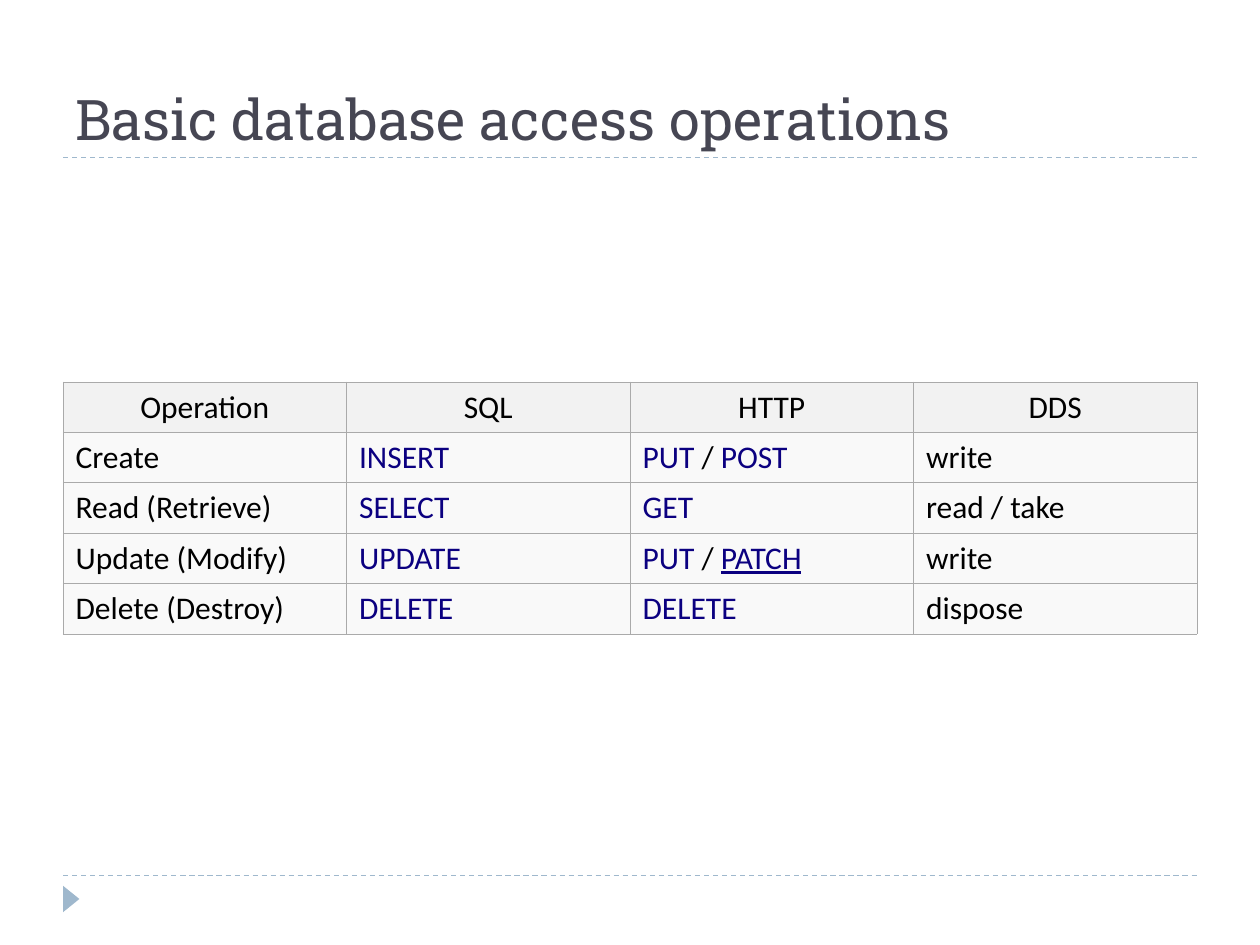
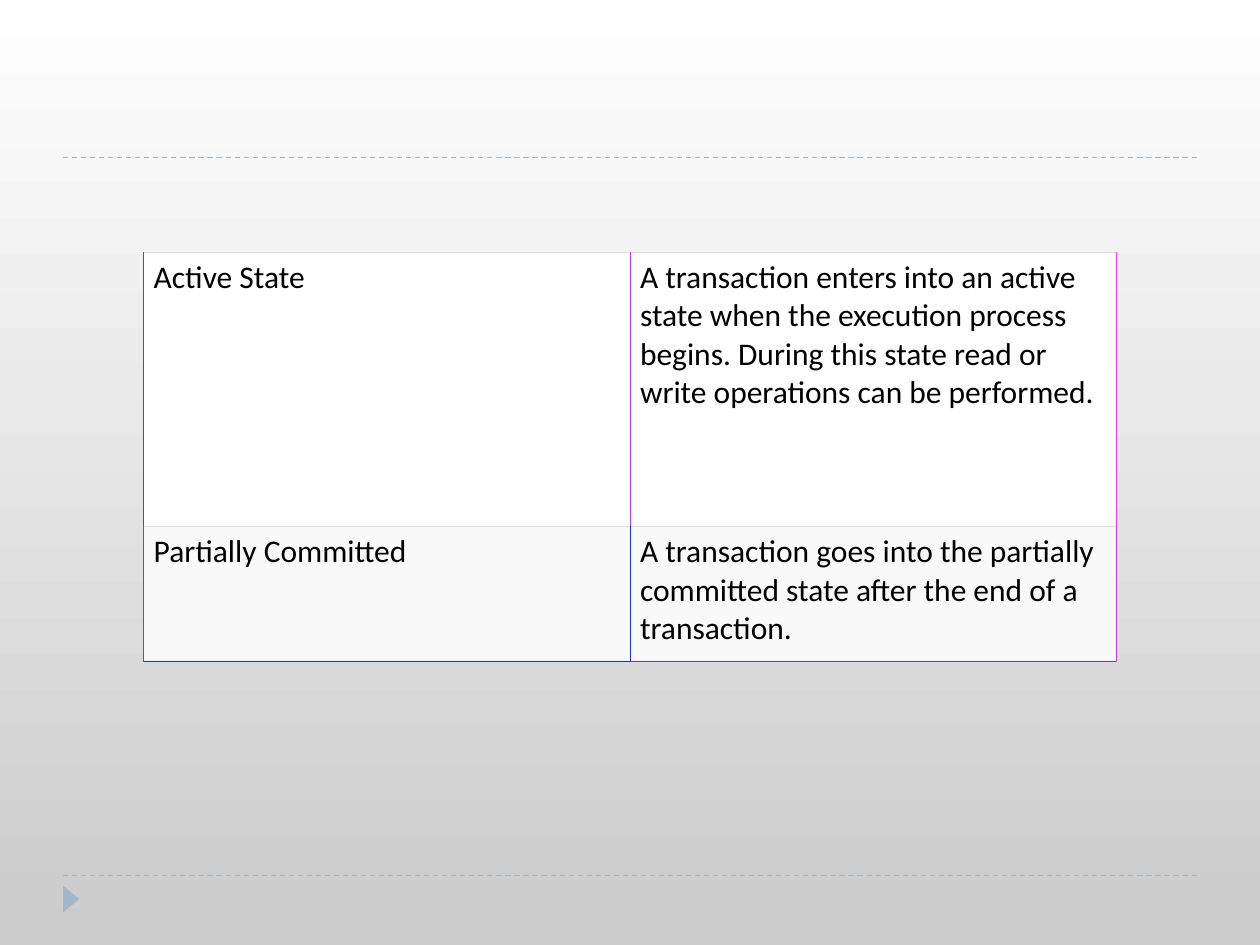
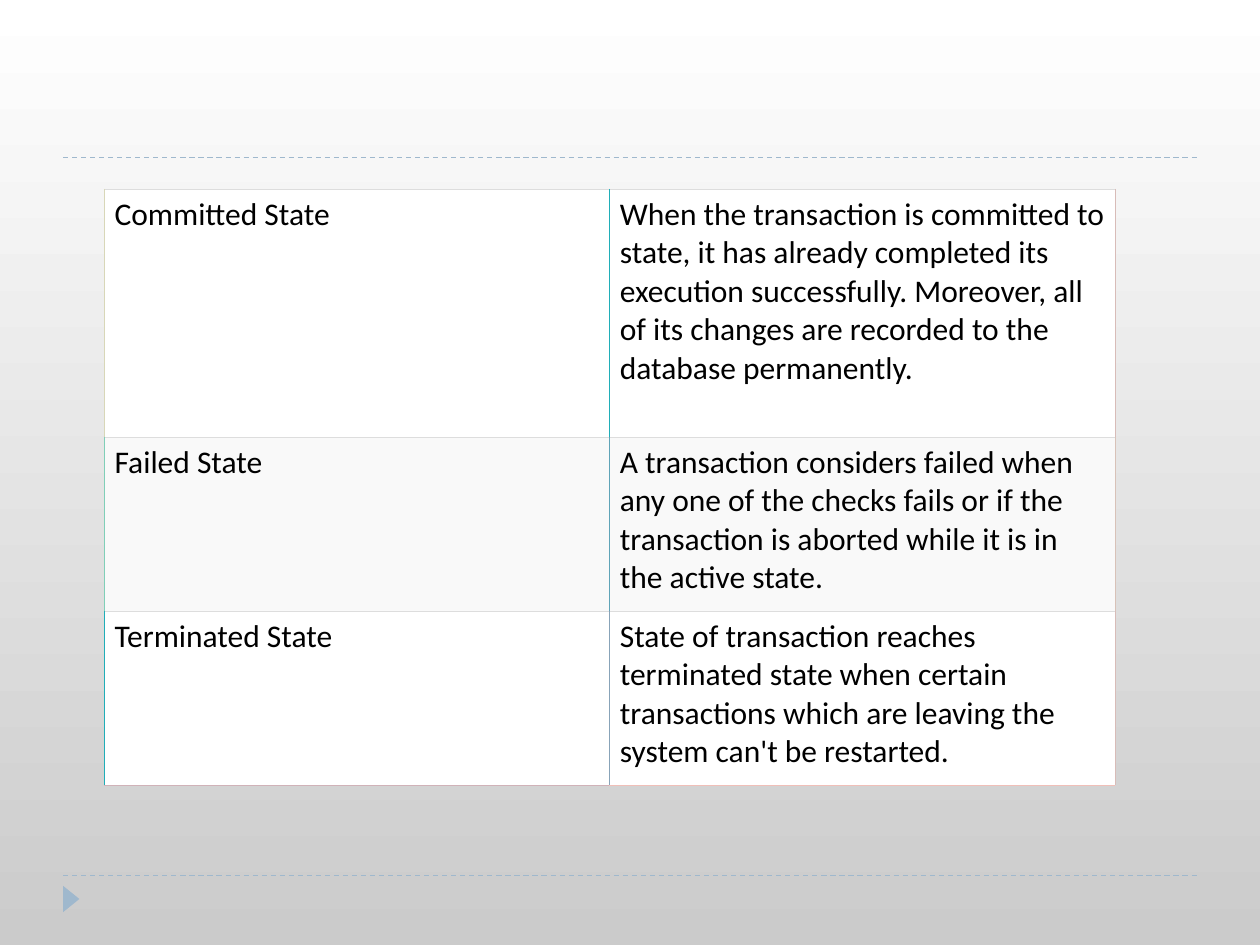
from lxml import etree
from pptx import Presentation
from pptx.dml.color import RGBColor
from pptx.enum.dml import MSO_LINE
from pptx.enum.shapes import MSO_CONNECTOR, MSO_SHAPE
from pptx.enum.text import MSO_ANCHOR, PP_ALIGN
from pptx.oxml.ns import qn
from pptx.util import Inches, Pt

DASH, STRAIGHT = MSO_LINE.DASH, MSO_CONNECTOR.STRAIGHT
TRIANGLE = MSO_SHAPE.ISOSCELES_TRIANGLE
TOP, MIDDLE, BOTTOM = MSO_ANCHOR.TOP, MSO_ANCHOR.MIDDLE, MSO_ANCHOR.BOTTOM
LEFT, CENTER = PP_ALIGN.LEFT, PP_ALIGN.CENTER

# Shared look
ACCENT, INK, BLACK, LINK = "9FB8CD", "464653", "000000", "0B0080"
GREY, PALE, WHITE, OFF_WHITE, HEAD = "AAAAAA", "DDDDDD", "FFFFFF", "F9F9F9", "F2F2F2"
THIN, THICK = 0.34, 0.45
MARGIN, WIDTH = 0.5, 9
RULES = (6.95, 1.25)


def rgb(value):
    return RGBColor.from_string(value)


def add_run(p, text, **fmt):
    r = p.add_run()
    r.text = text
    color = fmt.pop("color")
    for name, value in fmt.items():
        setattr(r.font, name, value)
    r.font.color.rgb = rgb(color)


# Each table: verticals hold one colour per column edge of a row,
# horizontals one colour per column for each row edge
slides = [
    dict(
        title="Basic database access operations", gradient=False,
        left=0.5, top=3.03, col=2.25, rows=[0.4] * 5,
        inset=0.1, anchor=MIDDLE, fills=[HEAD] + [OFF_WHITE] * 4,
        header=True, link_cols=(1, 2),
        verticals=[[GREY] * 5] * 5, horizontals=[[GREY] * 4] * 6,
        cells=[
            ["Operation", "SQL", "HTTP", "DDS"],
            ["Create", "INSERT", "PUT / POST", "write"],
            ["Read (Retrieve)", "SELECT", "GET", "read / take"],
            ["Update (Modify)", "UPDATE", "PUT / PATCH", "write"],
            ["Delete (Destroy)", "DELETE", "DELETE", "dispose"],
        ]),
    dict(
        title=None, gradient=True,
        left=1.14, top=2, col=3.86, rows=[2.18, 1.07],
        inset=0.08, anchor=TOP, fills=[WHITE, OFF_WHITE],
        header=False, link_cols=(),
        verticals=[["7829F5", "C032F5", "F839F5"], ["8036F5", "1031F5", "C839F5"]],
        horizontals=[[PALE] * 2] * 2 + [["0839F5", "6836F5"]],
        cells=[
            ["Active State",
             "A transaction enters into an active state when the execution process "
             "begins. During this state read or write operations can be performed."],
            ["Partially Committed",
             "A transaction goes into the partially committed state after the end "
             "of a transaction."],
        ]),
    dict(
        title=None, gradient=True,
        left=0.83, top=1.5, col=4.01, rows=[1.97, 1.38, 1.38],
        inset=0.08, anchor=TOP, fills=[WHITE, OFF_WHITE, WHITE],
        header=False, link_cols=(),
        verticals=[["D8D7B8", "20AEB8", "D8BCB8"], ["80CFB8", "60A4B8", "D8C2B8"],
                   ["20AEB8", "88A3B8", "D8BCB8"]],
        horizontals=[[PALE] * 2] * 3 + [["D0B2B8", "F0BFB8"]],
        cells=[
            ["Committed State",
             "When the transaction is committed to state, it has already completed "
             "its execution successfully. Moreover, all of its changes are recorded "
             "to the database permanently."],
            ["Failed State",
             "A transaction considers failed when any one of the checks fails or if "
             "the transaction is aborted while it is in the active state."],
            ["Terminated State",
             "State of transaction reaches terminated state when certain "
             "transactions which are leaving the system can't be restarted."],
        ]),
]

prs = Presentation()
prs.slide_width, prs.slide_height = Inches(10), Inches(7.5)

for d in slides:
    s = prs.slides.add_slide(prs.slide_layouts[6])

    # Background
    bg = s.background.fill
    if d["gradient"]:
        bg.gradient()
        bg.gradient_angle = 90
        for stop, color, position in zip(bg.gradient_stops, ("CBCBCB", WHITE), (0, 1)):
            stop.color.rgb = rgb(color)
            stop.position = position
    else:
        bg.solid()
        bg.fore_color.rgb = rgb(WHITE)

    # Dashed rules and corner marker
    for y in RULES:
        rule = s.shapes.add_connector(STRAIGHT, Inches(MARGIN), Inches(y),
                                      Inches(MARGIN + WIDTH), Inches(y))
        rule.line.color.rgb = rgb(ACCENT)
        rule.line.width = Pt(0.75)
        rule.line.dash_style = DASH
        etree.SubElement(rule._element.spPr, qn("a:effectLst"))
    marker = s.shapes.add_shape(TRIANGLE, Inches(0.46), Inches(7.07),
                                Inches(0.21), Inches(0.13))
    marker.rotation = 90
    marker.shadow.inherit = False
    marker.fill.solid()
    marker.fill.fore_color.rgb = rgb(ACCENT)
    marker.line.fill.background()

    # Title
    if d["title"]:
        tf = s.shapes.add_textbox(Inches(MARGIN), Inches(0.17),
                                  Inches(WIDTH), Inches(1.08)).text_frame
        tf.word_wrap = True
        tf.vertical_anchor = BOTTOM
        add_run(tf.paragraphs[0], d["title"], name="Roboto Slab", size=Pt(32), color=INK)

    # Table
    n_rows, n_cols = len(d["cells"]), len(d["cells"][0])
    table = s.shapes.add_table(n_rows, n_cols, Inches(d["left"]), Inches(d["top"]),
                               Inches(d["col"] * n_cols), Inches(sum(d["rows"]))).table
    table.first_row = table.horz_banding = False
    for column in table.columns:
        column.width = Inches(d["col"])
    for i, texts in enumerate(d["cells"]):
        table.rows[i].height = Inches(d["rows"][i])
        for j, text in enumerate(texts):
            cell = table.cell(i, j)
            cell.margin_left = cell.margin_right = Inches(d["inset"])
            cell.vertical_anchor = d["anchor"]

            # Borders come before the fill in the cell properties
            edges = dict(lnL=d["verticals"][i][j], lnR=d["verticals"][i][j + 1],
                         lnT=d["horizontals"][i][j], lnB=d["horizontals"][i + 1][j])
            for tag, color in edges.items():
                width = THIN if color in (GREY, PALE) else THICK
                ln = etree.SubElement(cell._tc.get_or_add_tcPr(), qn(f"a:{tag}"),
                                      w=str(Pt(width)))
                solid = etree.SubElement(ln, qn("a:solidFill"))
                etree.SubElement(solid, qn("a:srgbClr"), val=color)
            cell.fill.solid()
            cell.fill.fore_color.rgb = rgb(d["fills"][i])

            # Text, with commands in the link colour
            p = cell.text_frame.paragraphs[0]
            is_head = d["header"] and i == 0
            p.alignment = CENTER if is_head else LEFT
            linked = j in d["link_cols"] and not is_head
            for part in text.partition(" / ") if linked else [text]:
                if part:
                    color = LINK if linked and part != " / " else BLACK
                    add_run(p, part, name="Calibri", size=Pt(18), color=color,
                            underline=part == "PATCH")

prs.save("out.pptx")
